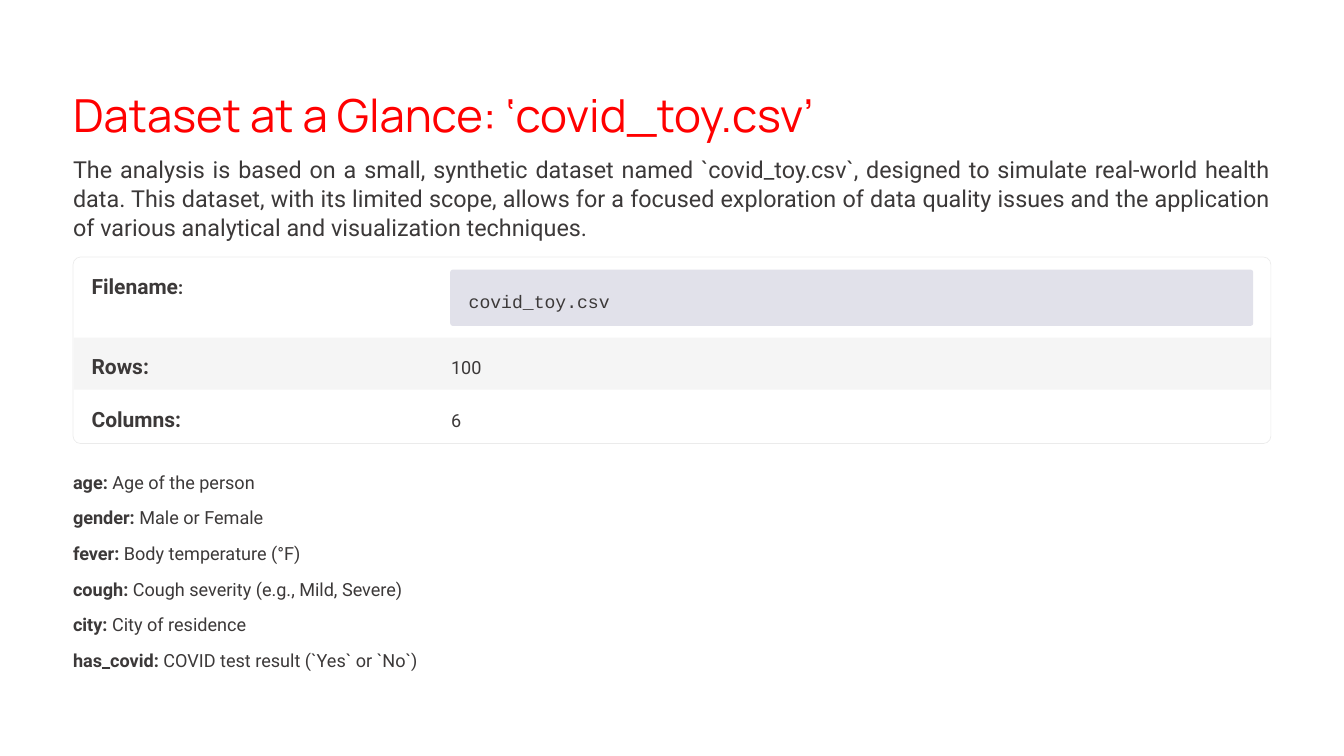
from lxml.etree import SubElement
from pptx import Presentation
from pptx.dml.color import RGBColor
from pptx.enum.shapes import MSO_SHAPE
from pptx.enum.text import PP_ALIGN
from pptx.oxml.ns import qn
from pptx.util import Inches, Pt


def color(value):
    return RGBColor.from_string(value)


def set_alpha(fill_parent, percent):
    tint = fill_parent.find(qn("a:solidFill"))[0]
    SubElement(tint, qn("a:alpha")).set("val", str(percent * 1000))


class SlideBuilder:
    ink = "3C3939"
    font = "Roboto"
    label_size = 18
    body_size = 15.5
    line_height = 25

    def __init__(self, page):
        self.page = page

    def text(self, left, top, width, height, runs, wrap=False,
             align=PP_ALIGN.LEFT, spacing=line_height):
        box = self.page.shapes.add_textbox(
            Inches(left), Inches(top), Inches(width), Inches(height))
        frame = box.text_frame
        frame.margin_left = frame.margin_right = 0
        frame.margin_top = frame.margin_bottom = 0
        frame.word_wrap = wrap
        para = frame.paragraphs[0]
        para.alignment = align
        para.line_spacing = Pt(spacing)
        for words, style in runs:
            span = para.add_run()
            span.text = words
            span.font.name = style.get("font", self.font)
            span.font.size = Pt(style.get("size", self.body_size))
            span.font.bold = style.get("bold", False)
            span.font.color.rgb = color(style.get("ink", self.ink))

    def panel(self, left, top, width, height, fill=None, fill_alpha=100,
              line=None, line_alpha=100, corner=0):
        kind = MSO_SHAPE.ROUNDED_RECTANGLE if corner else MSO_SHAPE.RECTANGLE
        shape = self.page.shapes.add_shape(
            kind, Inches(left), Inches(top), Inches(width), Inches(height))
        shape.shadow.inherit = False
        if corner:
            shape.adjustments[0] = corner
        if fill:
            shape.fill.solid()
            shape.fill.fore_color.rgb = color(fill)
            set_alpha(shape.element.spPr, fill_alpha)
        else:
            shape.fill.background()
        if line:
            shape.line.color.rgb = color(line)
            shape.line.width = Pt(0.6)
            set_alpha(shape.element.spPr.find(qn("a:ln")), line_alpha)
        else:
            shape.line.fill.background()

    def fact_row(self, top, height, tint, label_runs):
        self.panel(0.88, top, 14.25, height, fill=tint, fill_alpha=4)
        self.text(1.09, top + 0.14, 3.84, 0.35, label_runs)

    def fact_value(self, top, value):
        self.text(5.37, top + 0.14, 9.53, 0.35, [(value, {})])


def main():
    deck = Presentation()
    deck.slide_width, deck.slide_height = Inches(16), Inches(9)
    builder = SlideBuilder(deck.slides.add_slide(deck.slide_layouts[6]))
    label = {"size": builder.label_size, "bold": True}
    left, width = 0.87, 14.26

    builder.text(left, 1.01, 9.2, 0.68,
                 [("Dataset at a Glance: ‘covid_toy.csv’",
                   {"size": 39, "font": "Manrope", "ink": "FF0000"})],
                 spacing=48.5)
    builder.text(left, 1.83, width, 0.99,
                 [("The analysis is based on a small, synthetic dataset named "
                   "`covid_toy.csv`, designed to simulate real-world health "
                   "data. This dataset, with its limited scope, allows for a "
                   "focused exploration of data quality issues and the "
                   "application of various analytical and visualization "
                   "techniques.", {"size": 20})],
                 wrap=True, align=PP_ALIGN.JUSTIFY)

    builder.panel(left, 3.06, width, 2.22, line="000000", line_alpha=8,
                  corner=0.04)
    builder.fact_row(3.07, 0.95, "FFFFFF",
                     [("Filename", label), (":", {"bold": True})])
    builder.panel(5.36, 3.21, 9.56, 0.67, fill="E1E1EA", corner=0.05)
    builder.text(5.58, 3.37, 9.12, 0.35,
                 [("covid_toy.csv", {"font": "Courier New"})])
    for top, tint, name, value in [(4.02, "000000", "Rows:", "100"),
                                   (4.65, "FFFFFF", "Columns:", "6")]:
        builder.fact_row(top, 0.62, tint, [(name, label)])
        builder.fact_value(top, value)

    columns = [
        ("age:", "Age of the person"),
        ("gender:", "Male or Female"),
        ("fever:", "Body temperature (°F)"),
        ("cough:", "Cough severity (e.g., Mild, Severe)"),
        ("city:", "City of residence"),
        ("has_covid:", "COVID test result (`Yes` or `No`)"),
    ]
    first_top, last_top = 5.52, 7.64
    step = (last_top - first_top) / (len(columns) - 1)
    for index, (name, meaning) in enumerate(columns):
        builder.text(left, first_top + index * step, width, 0.35,
                     [(name, {"bold": True}), (" " + meaning, {})])

    deck.save("out.pptx")


if __name__ == "__main__":
    main()
